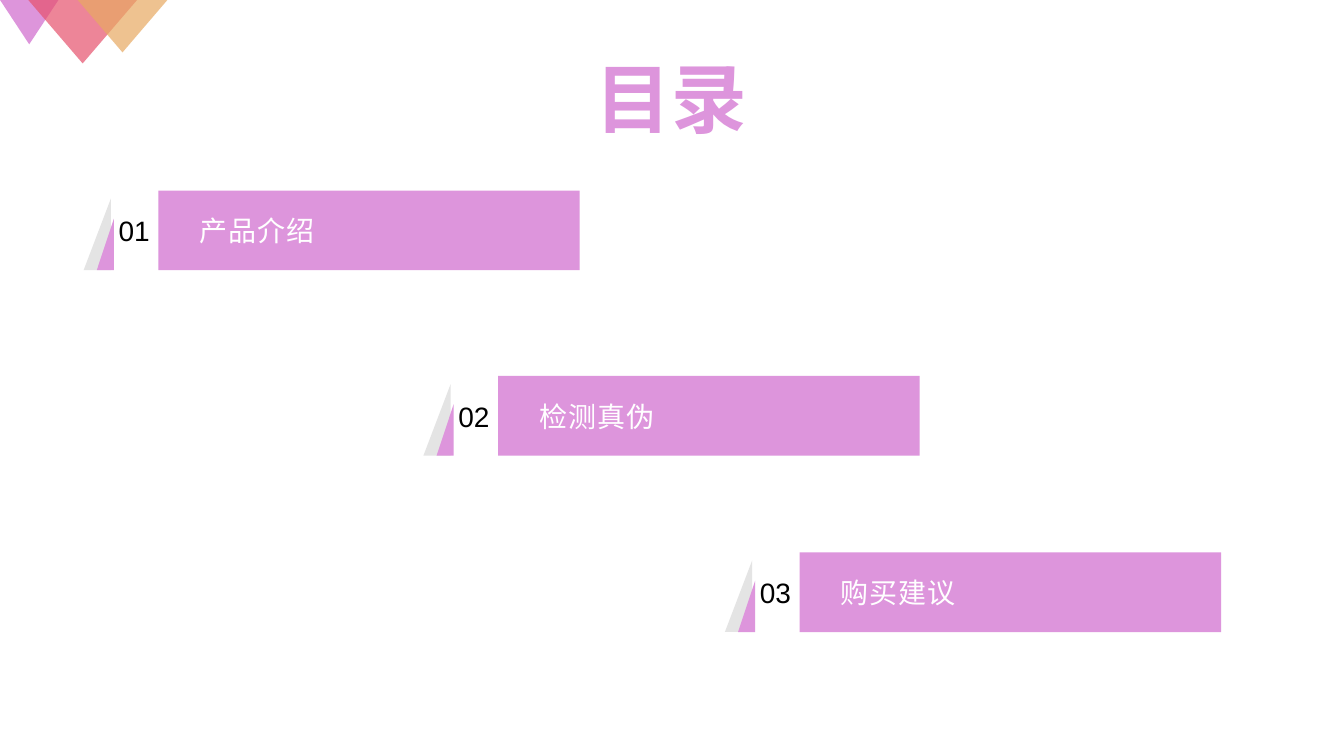
from dataclasses import dataclass

from lxml import etree
from pptx import Presentation, util as u
from pptx.dml.color import RGBColor
from pptx.enum import shapes, text
from pptx.oxml import ns


@dataclass(frozen=True)
class Theme:
    """Colours, type sizes and font of the slide."""
    pink: str = "DD95DC"
    grey: str = "E4E4E4"
    white: str = "FFFFFF"
    black: str = "000000"
    violet: str = "CF68CD"
    rose: str = "E6526D"
    amber: str = "E8A962"
    head: int = 54
    body: int = 20
    font: str = "Arial"


THEME = Theme()
FLAGS = [(0, 0.58, 0.44, THEME.violet), (0.28, 1.08, 0.63, THEME.rose),
         (0.77, 0.89, 0.52, THEME.amber)]
ITEMS = [(0.83, 1.89, "产品介绍"), (4.2, 3.73, "检测真伪"),
         (7.19, 5.48, "购买建议")]
HIGH = 0.79


def apply(obj, vals):
    """Set each named value on an object."""
    for name, val in vals.items():
        setattr(obj, name, val)


def paint(shape, color):
    """Give a shape a plain fill without line or shadow."""
    shape.shadow.inherit = False
    shape.fill.solid()
    shape.fill.fore_color.rgb = RGBColor.from_string(color)
    shape.line.fill.background()


def write(shape, words, color, size, bold=False, left=0, space=0,
          align=text.PP_ALIGN.CENTER):
    """Write one formatted line, centred vertically, into a shape."""
    frame = shape.text_frame
    apply(frame, {"word_wrap": True, "margin_left": u.Inches(left),
                  "margin_right": 0, "margin_top": 0, "margin_bottom": 0,
                  "vertical_anchor": text.MSO_ANCHOR.MIDDLE})
    para = frame.paragraphs[0]
    para.alignment = align
    run = para.add_run()
    run.text = words
    apply(run.font, {"name": THEME.font, "size": u.Pt(size), "bold": bold})
    run.font.color.rgb = RGBColor.from_string(color)
    if space:
        run.font._element.set("spc", str(space))


def label(pool, box, words, color, size, bold=False):
    """Add a centred text box."""
    shape = pool.add_textbox(*map(u.Inches, box))
    write(shape, words, color, size, bold)


def outline(pool, x, y, rings, color):
    """Add a filled freeform from rings of points relative to x and y."""
    rings = [[(u.Inches(x + a), u.Inches(y + b)) for a, b in ring]
             for ring in rings]
    pen = pool.build_freeform(*rings[0][0])
    for i, ring in enumerate(rings):
        if i:
            pen.move_to(*ring[0])
        pen.add_line_segments(ring[1:], close=True)
    shape = pen.convert_to_shape()
    paint(shape, color)
    return shape


def flag(pool, x, width, height, color):
    """Add a translucent triangle hanging from the top edge."""
    shape = pool.add_shape(shapes.MSO_SHAPE.ISOSCELES_TRIANGLE, u.Inches(x), 0,
                           u.Inches(width), u.Inches(height))
    paint(shape, color)
    shape.element.spPr.xfrm.set("flipV", "1")
    tint = shape.element.spPr.find(".//" + ns.qn("a:srgbClr"))
    etree.SubElement(tint, ns.qn("a:alpha")).set("val", "70000")


def entry(pool, num, x, y, words):
    """Add a numbered contents bar with its two spikes."""
    back = [(0.27, 0.08), (0.27, HIGH), (0, HIGH)]
    spike = [(0.3, 0.28), (0.3, HIGH), (0.13, HIGH)]
    bar = [(0.74, 0), (4.92, 0), (4.92, HIGH), (0.74, HIGH)]
    outline(pool, x, y, [back], THEME.grey)
    shape = outline(pool, x, y, [spike, bar], THEME.pink)
    write(shape, words, THEME.white, THEME.body, left=1.02, space=60,
          align=text.PP_ALIGN.LEFT)
    label(pool, (x + 0.19, y, 0.62, HIGH), f"{num:02}", THEME.black, THEME.body)


def main():
    """Build and save the contents slide."""
    deck = Presentation()
    apply(deck, {"slide_width": u.Inches(13.33), "slide_height": u.Inches(7.5)})
    pool = deck.slides.add_slide(deck.slide_layouts[6]).shapes
    group = pool.add_group_shape().shapes
    for item in FLAGS:
        flag(group, *item)
    label(pool, (5.33, 0.4, 2.66, 1.13), "目录", THEME.pink, THEME.head, True)
    for num, item in enumerate(ITEMS, 1):
        entry(pool.add_group_shape().shapes, num, *item)
    deck.save("out.pptx")


if __name__ == "__main__":
    main()
